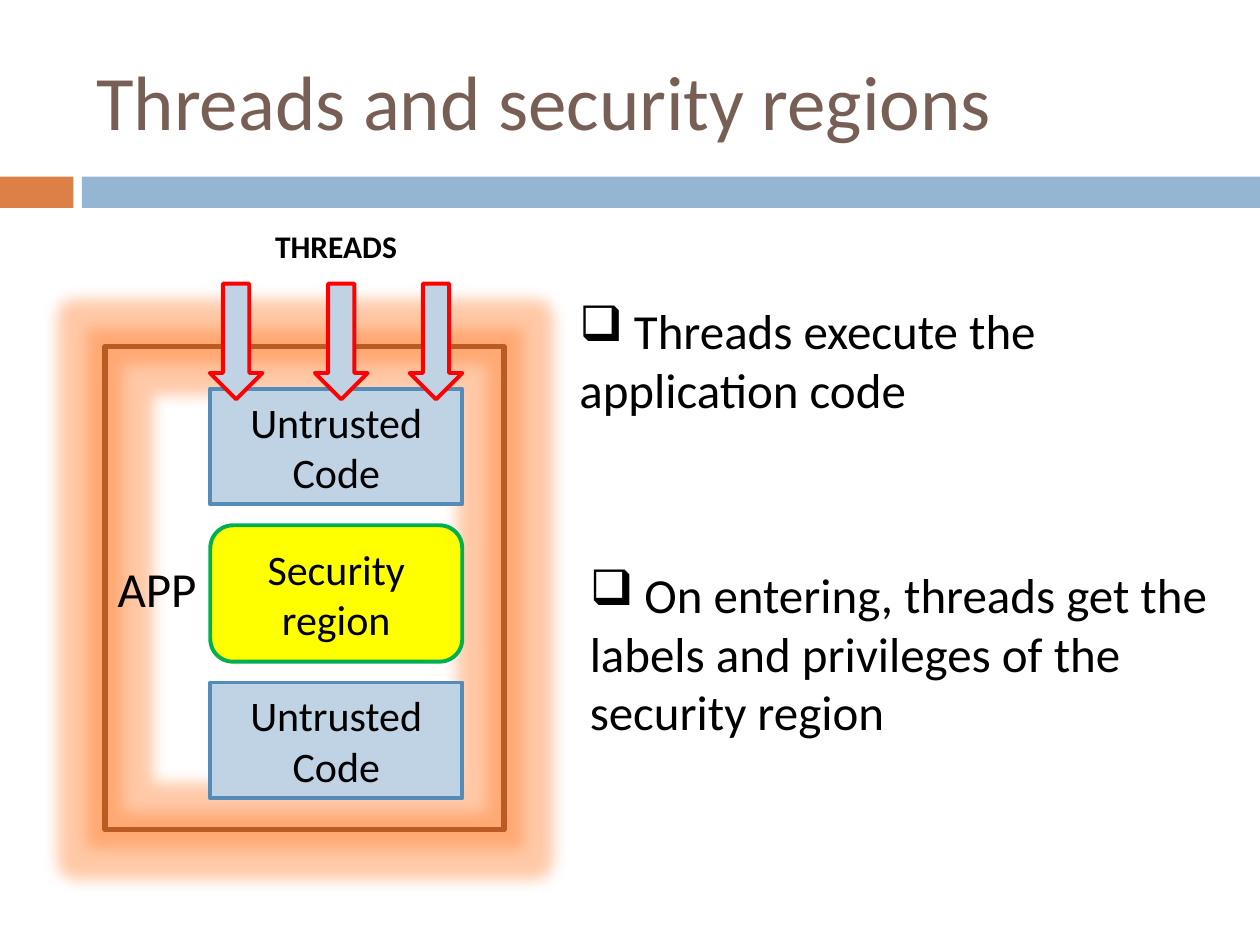
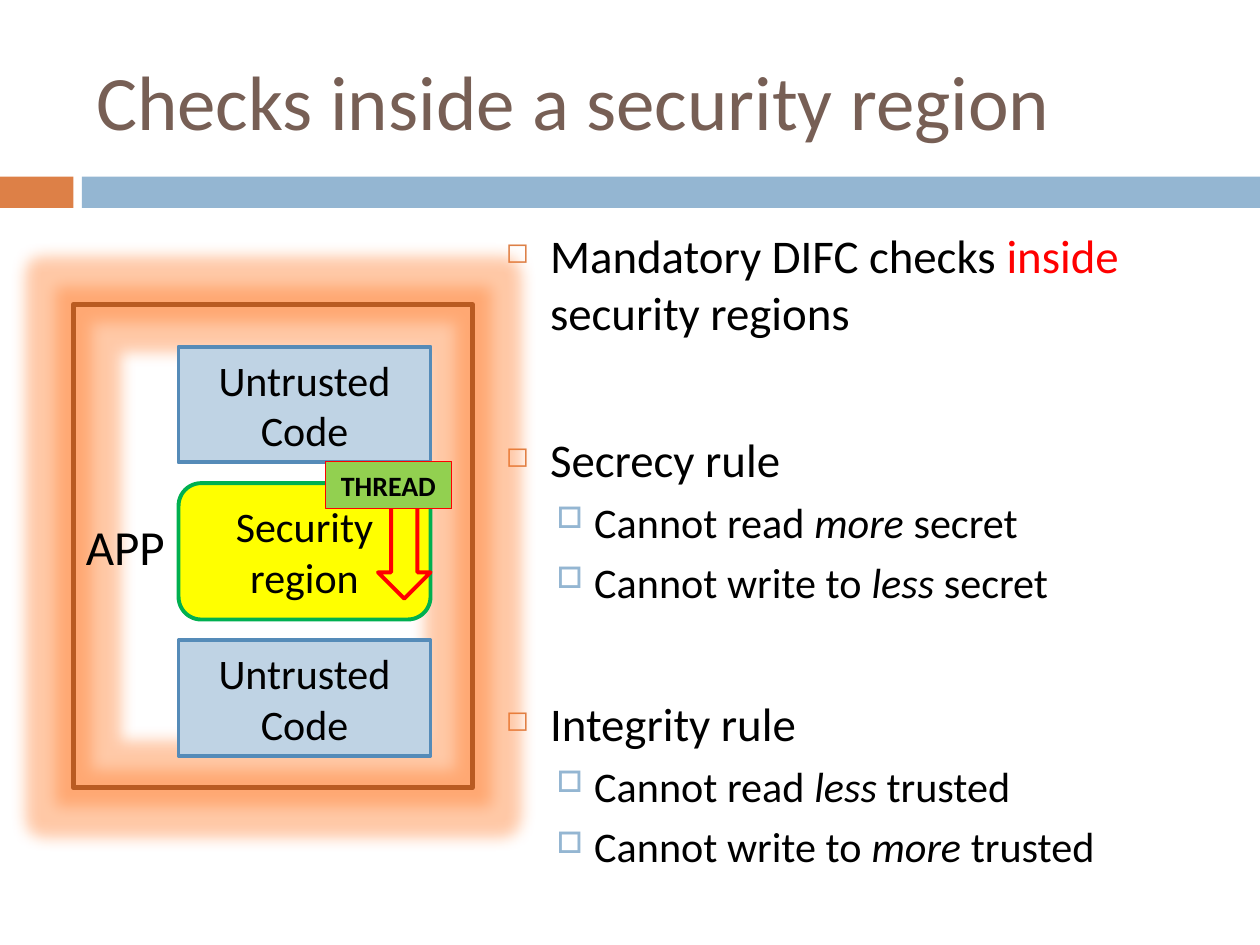
"""Builds two slides on threads and security regions."""
from lxml import etree
from pptx import Presentation
from pptx import util as u
from pptx.dml.color import RGBColor
from pptx.enum import shapes, text
from pptx.oxml import ns

COLOURS = {
    "title": "775F55", "orange": "DD8047", "blue": "94B6D2", "black": "000000",
    "app_line": "B95B22", "glow": "FF7825", "code": "BFD3E4", "code_line": "558BB8",
    "region": "FFFF00", "region_line": "00B050", "red": "FF0000", "label": "92D050",
}
KINDS = shapes.MSO_SHAPE
LEFT, CENTRE = text.PP_ALIGN.LEFT, text.PP_ALIGN.CENTER
TOP, MIDDLE = text.MSO_ANCHOR.TOP, text.MSO_ANCHOR.MIDDLE


def rgb(name):
    return RGBColor.from_string(COLOURS[name])


def add_element(parent, tag, **attributes):
    return etree.SubElement(parent, ns.qn(tag), attributes)


class Deck:
    """Holds the shared style and the current slide."""

    font_name = "Calibri"

    def __init__(self):
        self.presentation = Presentation()
        self.presentation.slide_width = u.Cm(25.4)
        self.presentation.slide_height = u.Cm(19.05)
        self.slide = None

    def start_slide(self, title):
        self.slide = self.presentation.slides.add_slide(self.presentation.slide_layouts[6])
        self.shape(KINDS.RECTANGLE, (0, 3.56, 1.48, 0.63), "orange")
        self.shape(KINDS.RECTANGLE, (1.65, 3.56, 23.75, 0.63), "blue")
        self.text_box((1.69, 0.64, 22.66, 2.75), [{"runs": [title]}],
                      anchor=MIDDLE, size=44, colour="title")

    def shape(self, kind, place, fill=None, line=None, width=2.25):
        shape = self.slide.shapes.add_shape(kind, *map(u.Cm, place))
        shape.shadow.inherit = False
        if fill:
            shape.fill.solid()
            shape.fill.fore_color.rgb = rgb(fill)
        else:
            shape.fill.background()
        if line:
            shape.line.color.rgb = rgb(line)
            shape.line.width = u.Pt(width)
        else:
            shape.line.fill.background()
        return shape

    def text_box(self, place, paragraphs, anchor=TOP, **style):
        box = self.slide.shapes.add_textbox(*map(u.Cm, place))
        self.fill_text(box, paragraphs, anchor, **style)

    def fill_text(self, shape, paragraphs, anchor=MIDDLE, **style):
        frame = shape.text_frame
        frame.word_wrap = True
        frame.vertical_anchor = anchor
        for index, content in enumerate(paragraphs):
            paragraph = frame.add_paragraph() if index else frame.paragraphs[0]
            self.fill_paragraph(paragraph, **{**style, **content})

    def fill_paragraph(self, paragraph, runs, size, colour="black", align=LEFT,
                       bold=False, before=0, bullet=None, indent=None):
        if bullet:
            self.bullet(paragraph, **bullet)
        if indent:
            margin, hanging = indent
            properties = paragraph._p.get_or_add_pPr()
            properties.set("marL", str(u.Cm(margin)))
            properties.set("indent", str(u.Cm(-hanging)))
        paragraph.alignment = align
        paragraph.space_before = u.Pt(before)
        for piece in runs:
            words, changes = piece if isinstance(piece, tuple) else (piece, {})
            run = paragraph.add_run()
            run.text = words
            values = {"name": self.font_name, "size": u.Pt(size), "bold": bold,
                      "italic": changes.get("italic", False)}
            for attribute, value in values.items():
                setattr(run.font, attribute, value)
            run.font.color.rgb = rgb(changes.get("colour", colour))

    def bullet(self, paragraph, mark, colour="black", percent=100):
        properties = paragraph._p.get_or_add_pPr()
        add_element(add_element(properties, "a:buClr"), "a:srgbClr", val=COLOURS[colour])
        add_element(properties, "a:buSzPct", val=str(percent * 1000))
        add_element(properties, "a:buChar", char=mark)

    def glow(self, shape, colour, radius, opacity):
        effects = shape._element.spPr.find(ns.qn("a:effectLst"))
        glow = add_element(effects, "a:glow", rad=str(u.Pt(radius)))
        fill = add_element(glow, "a:srgbClr", val=COLOURS[colour])
        add_element(fill, "a:alpha", val=str(opacity * 1000))

    def application(self, left, top):
        frame = self.shape(KINDS.RECTANGLE, (left, top, 8.04, 9.74), line="app_line", width=3)
        self.glow(frame, "glow", 18, 40)
        self.fill_text(frame, [{"runs": ["APP"]}], size=28)
        code = (KINDS.RECTANGLE, "Untrusted Code", 2.33, "code", "code_line")
        region = (KINDS.ROUNDED_RECTANGLE, "Security region", 2.75, "region", "region_line")
        block_top = top + 0.85
        for kind, words, height, fill, line in (code, region, code):
            block = self.shape(kind, (left + 2.12, block_top, 5.08, height), fill, line)
            self.fill_text(block, [{"runs": [words]}], size=24, align=CENTRE)
            block_top += height + 0.42

    def thread_arrow(self, left, top, fill):
        self.shape(KINDS.DOWN_ARROW, (left, top, 1.06, 2.33), fill, "red")


def build_threads(deck):
    deck.start_slide("Threads and security regions")
    deck.application(2.12, 6.99)
    deck.text_box((4.66, 4.45, 4.23, 1.02), [{"runs": ["THREADS"]}],
                  size=18, bold=True, align=CENTRE)
    for left in (4.23, 6.35, 8.26):
        deck.thread_arrow(left, 5.72, "code")
    notes = (
        (11.43, 5.93, 2.64, " Threads execute the application code"),
        (11.64, 11.25, 3.84,
         " On entering, threads get the labels and privileges of the security region"),
    )
    for left, top, height, words in notes:
        deck.text_box((left, top, 13.34, height),
                      [{"runs": [words], "bullet": {"mark": "❑"}}], size=28)


def build_checks(deck):
    deck.start_slide("Checks inside a security region")
    heading = {"size": 26.8, "indent": (0.89, 0.89),
               "bullet": {"mark": "◻", "colour": "orange", "percent": 60}}
    detail = {"size": 24.1, "indent": (1.78, 0.76), "before": 5.5,
              "bullet": {"mark": "□", "colour": "blue", "percent": 70}}
    paragraphs = [{**heading, "runs": ["Mandatory DIFC checks ", ("inside", {"colour": "red"}),
                                       " security regions"]}]
    rules = (
        ("Secrecy rule", 52, "more", "less", " secret"),
        ("Integrity rule", 50, "less", "more", " trusted"),
    )
    for name, before, read_degree, change_degree, quality in rules:
        paragraphs.append({**heading, "runs": [name], "before": before})
        for action, degree in (("read ", read_degree), ("write to ", change_degree)):
            paragraphs.append({**detail, "runs": ["Cannot " + action,
                                                  (degree, {"italic": True}), quality]})
    deck.text_box((9.95, 4.45, 14.4, 12.9), paragraphs)
    deck.application(1.48, 6.14)
    deck.thread_arrow(7.62, 9.74, "region")
    label = deck.shape(KINDS.RECTANGLE, (6.56, 9.31, 2.54, 0.94), "label", "red", 0.75)
    deck.fill_text(label, [{"runs": ["THREAD"]}], size=16, bold=True, align=CENTRE)


def main():
    deck = Deck()
    build_threads(deck)
    build_checks(deck)
    deck.presentation.save("out.pptx")


if __name__ == "__main__":
    main()
